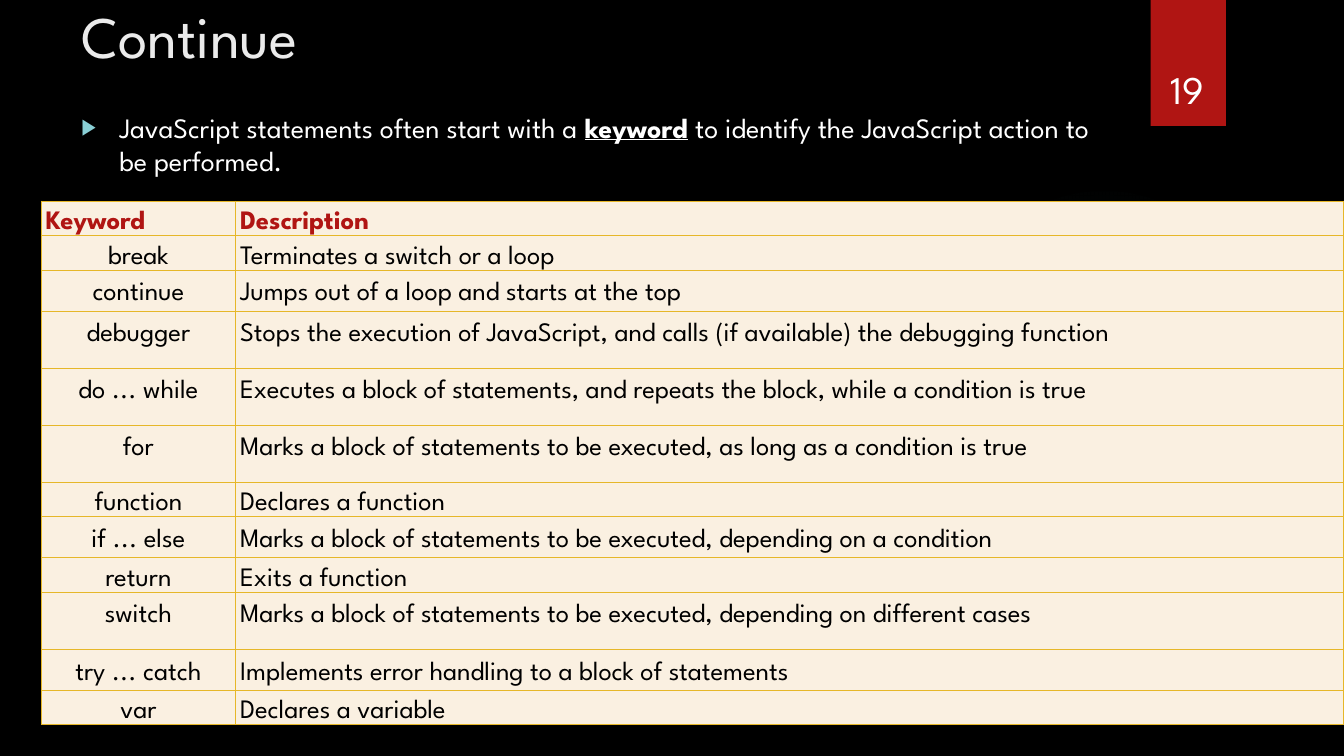
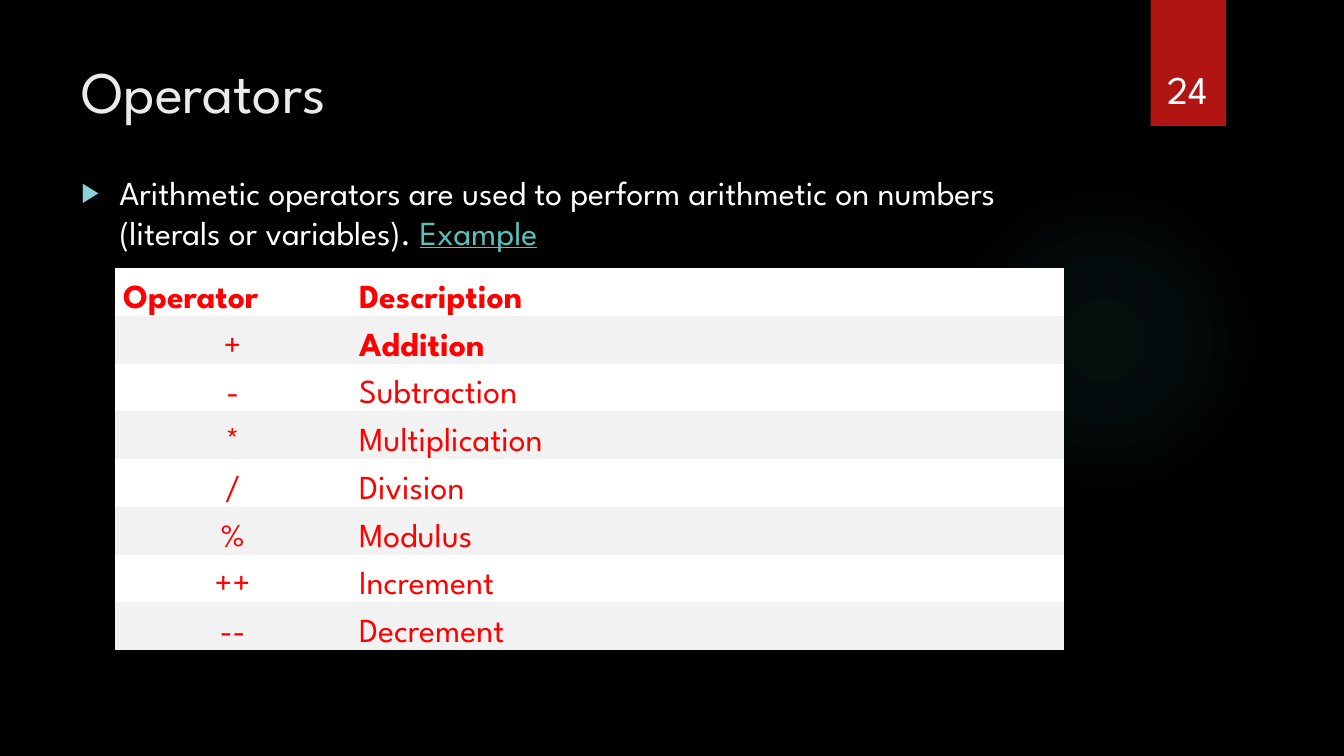
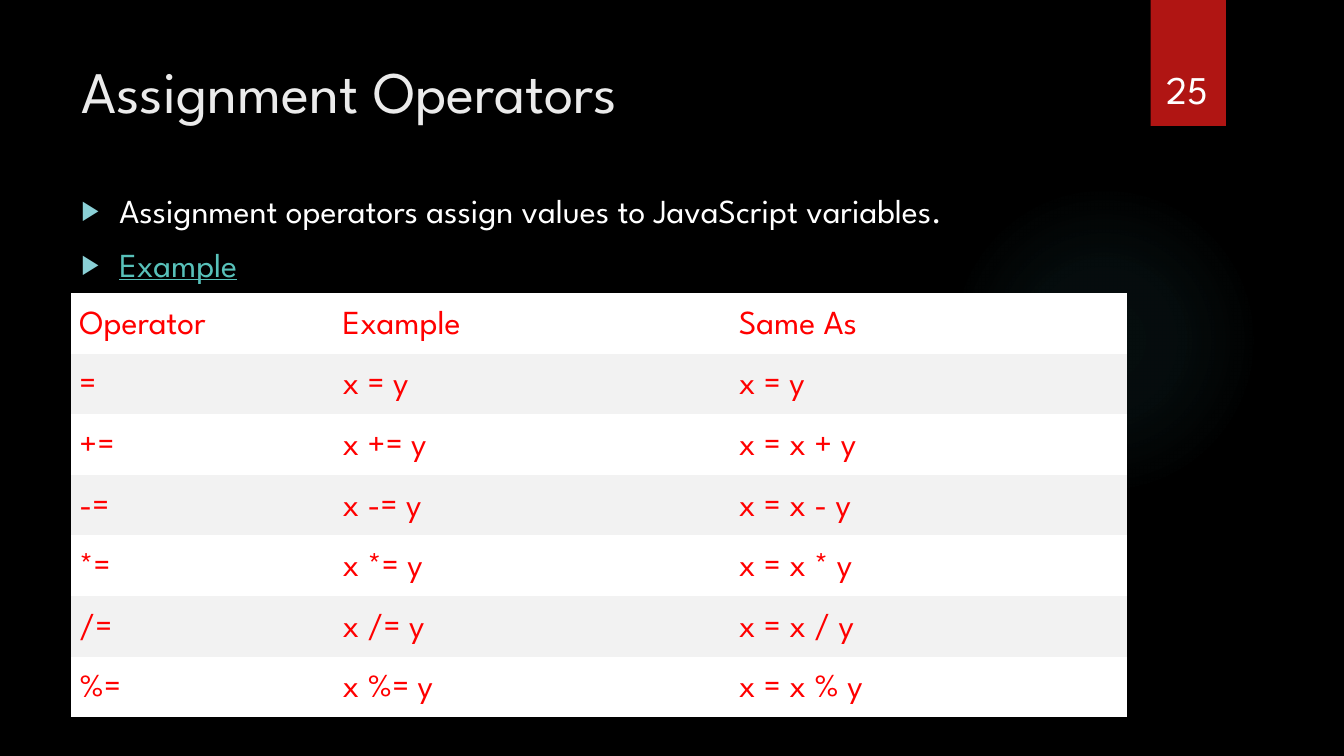
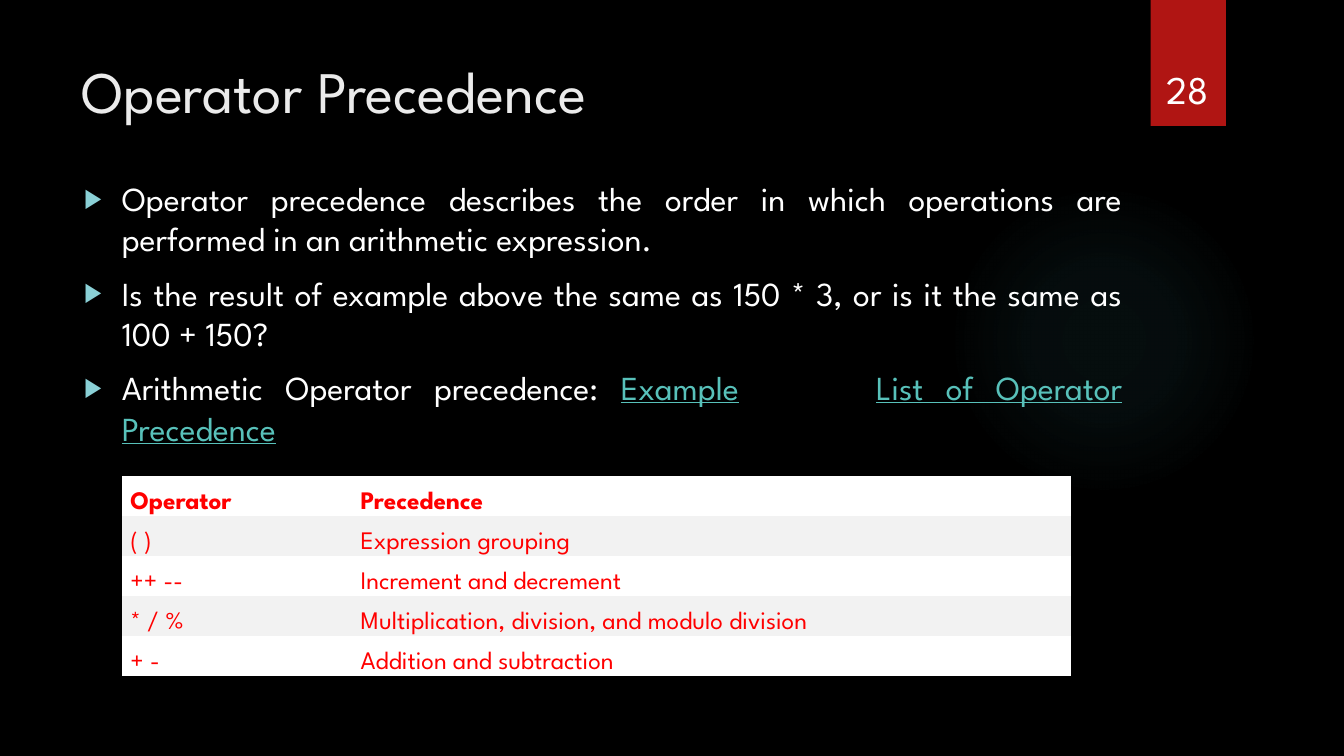
from pptx import Presentation
from pptx.dml.color import RGBColor
from pptx.enum import shapes, text
from pptx.oxml import parse_xml
from pptx.util import Pt

FONT = "League Spartan"
BLACK, WHITE, RED, BAND_RED = "000000", "FFFFFF", "FF0000", "B01513"
TITLE_GREY, LINK, BULLET, GLOW = "EBEBEB", "58C1BA", "8AD0D6", "50B9C1"
CREAM, GOLD, STRIPE = "FAF0E1", "E6B729", "F2F2F2"
NO_STYLE = "{2D5ABB26-0587-4C30-8999-92F81FD0307C}"
LEFT, CENTER = text.PP_ALIGN.LEFT, text.PP_ALIGN.CENTER
JUSTIFY = text.PP_ALIGN.JUSTIFY
SHORT, MEDIUM, TALL = 24.6, 29.3, 40.8  # keyword table row heights
LINE = 1.2  # line height of the font, as a share of its size
TIGHT_LINE = 0.9  # line height inside table cells


def style_run(run, size, color, bold=False, underline=False):
    run.font.name = FONT
    run.font.size = Pt(size)
    run.font.bold = bold
    run.font.underline = underline
    run.font.color.rgb = RGBColor.from_string(color)


def drawing_xml(tag, attributes="", content=""):
    """Make one DrawingML element from its tag, attributes and inner markup."""
    namespace = "http://schemas.openxmlformats.org/drawingml/2006/main"
    return parse_xml(f'<a:{tag} xmlns:a="{namespace}" {attributes}>{content}</a:{tag}>')


# Body paragraphs are lists of (text, kind); kinds are plain, key, link and gap.
pages = [
    {
        "number": "19", "title": "Continue", "title_box": (51, -3.6, 828, 104),
        "body_box": (51, 75, 740, 329), "body_size": 20, "body_align": LEFT,
        "body": [
            [("JavaScript statements often start with a ", "plain"), ("keyword", "key"),
             (" to identify the JavaScript action to be performed.", "plain")],
        ],
        "table_at": (29.5, 143.7), "columns": (138.7, 791.5), "table_size": 19,
        "row_heights": (SHORT, SHORT, MEDIUM, TALL, TALL, TALL,
                        SHORT, MEDIUM, SHORT, TALL, MEDIUM, SHORT),
        "margin": 3.3, "fills": (CREAM, CREAM), "border": GOLD,
        "head_color": BAND_RED, "text_color": BLACK,
        "first_align": CENTER, "bold_cells": {(0, 0), (0, 1)},
        "rows": [
            ("Keyword", "Description"),
            ("break", "Terminates a switch or a loop"),
            ("continue", "Jumps out of a loop and starts at the top"),
            ("debugger", "Stops the execution of JavaScript, and calls (if available) the debugging function"),
            ("do ... while", "Executes a block of statements, and repeats the block, while a condition is true"),
            ("for", "Marks a block of statements to be executed, as long as a condition is true"),
            ("function", "Declares a function"),
            ("if ... else", "Marks a block of statements to be executed, depending on a condition"),
            ("return", "Exits a function"),
            ("switch", "Marks a block of statements to be executed, depending on different cases"),
            ("try ... catch", "Implements error handling to a block of statements"),
            ("var", "Declares a variable"),
        ],
    },
    {
        "number": "24", "title": "Operators", "body_box": (51, 119, 740, 330),
        "body": [
            [("Arithmetic operators are used to perform arithmetic on numbers "
              "(literals or variables). ", "plain"), ("Example", "link")],
        ],
        "table_at": (82, 191.5), "columns": (168.5, 509.2), "row_heights": (34.1,) * 8,
        "first_align": CENTER, "bold_cells": {(0, 0), (0, 1), (1, 1)},
        "rows": [
            ("Operator", "Description"),
            ("+", "Addition"),
            ("-", "Subtraction"),
            ("*", "Multiplication"),
            ("/", "Division"),
            ("%", "Modulus"),
            ("++", "Increment"),
            ("--", "Decrement"),
        ],
    },
    {
        "number": "25", "title": "Assignment Operators", "body_box": (51, 131.8, 740, 330),
        "body": [
            [("Assignment operators assign values to JavaScript variables.", "plain")],
            [("Example", "link")],
        ],
        "table_at": (50.8, 209.3), "columns": (188, 283, 283), "row_heights": (43.3,) * 7,
        "rows": [
            ("Operator", "Example", "Same As"),
            ("=", "x = y", "x = y"),
            ("+=", "x += y", "x = x + y"),
            ("-=", "x -= y", "x = x - y"),
            ("*=", "x *= y", "x = x * y"),
            ("/=", "x /= y", "x = x / y"),
            ("%=", "x %= y", "x = x % y"),
        ],
    },
    {
        "number": "28", "title": "Operator Precedence", "body_box": (52.8, 123.4, 756, 360),
        "body_align": JUSTIFY,
        "body": [
            [("Operator precedence describes the order in which operations are "
              "performed in an arithmetic expression.", "plain")],
            [("Is the result of example above the same as 150 * 3, "
              "or is it the same as 100 + 150?", "plain")],
            [("Arithmetic Operator precedence: ", "plain"), ("Example", "link"),
             (" ", "gap"), ("List of Operator Precedence", "link")],
        ],
        "table_at": (87.1, 340), "columns": (164.6, 513.5), "row_heights": (28.6,) * 5,
        "table_size": 18, "bold_cells": {(0, 0), (0, 1)},
        "rows": [
            ("Operator", "Precedence"),
            ("( )", "Expression grouping"),
            ("++ --", "Increment and decrement"),
            ("* / %", "Multiplication, division, and modulo division"),
            ("+ -", "Addition and subtraction"),
        ],
    },
]
defaults = {
    "title_box": (51, 36, 741, 110), "body_size": 24, "body_align": LEFT,
    "table_size": 24, "margin": 6, "fills": (WHITE, STRIPE), "border": None,
    "head_color": RED, "text_color": RED, "first_align": LEFT, "bold_cells": set(),
}

deck = Presentation()
deck.slide_width, deck.slide_height = Pt(960), Pt(540)
background = deck.slide_master.background.fill
background.solid()
background.fore_color.rgb = RGBColor.from_string(BLACK)
layout = deck.slide_layouts[1]

for index, page in enumerate(pages):
    page = {**defaults, **page}
    slide = deck.slides.add_slide(layout)

    # The glow and the red band are made once and moved to the shared layout.
    if index == 0:
        glow = slide.shapes.add_shape(shapes.MSO_SHAPE.OVAL, Pt(677.5), Pt(131.8), Pt(221.8), Pt(221.8))
        glow.fill.background()
        stops = "".join(
            f'<a:gs pos="{position}000"><a:srgbClr val="{GLOW}"><a:alpha val="{alpha}000"/></a:srgbClr></a:gs>'
            for position, alpha in ((0, 7), (36, 6), (69, 0)))
        gradient = drawing_xml("gradFill", "", f'<a:gsLst>{stops}</a:gsLst><a:path path="circle">'
                               '<a:fillToRect l="50000" t="50000" r="50000" b="50000"/></a:path>')
        properties = glow.element.spPr
        properties.replace(properties.find("{*}noFill"), gradient)
        band = slide.shapes.add_shape(shapes.MSO_SHAPE.RECTANGLE, Pt(822), Pt(0), Pt(53.7), Pt(90))
        band.fill.solid()
        band.fill.fore_color.rgb = RGBColor.from_string(BAND_RED)
        for shape in (glow, band):
            shape.line.fill.background()
            shape.shadow.inherit = False
            layout.shapes.element.append(shape.element)

    title, body = slide.shapes.title, slide.placeholders[1]
    for holder, box in ((title, page["title_box"]), (body, page["body_box"])):
        holder.left, holder.top, holder.width, holder.height = map(Pt, box)
        holder.text_frame.auto_size = text.MSO_AUTO_SIZE.NONE
        holder.text_frame.vertical_anchor = text.MSO_ANCHOR.TOP
    title.text_frame.text = page["title"]
    para = title.text_frame.paragraphs[0]
    para.alignment = LEFT
    para.line_spacing = Pt(50)
    style_run(para.runs[0], 42, TITLE_GREY)

    for position, pieces in enumerate(page["body"]):
        para = body.text_frame.add_paragraph() if position else body.text_frame.paragraphs[0]
        para.alignment = page["body_align"]
        para.line_spacing = Pt(page["body_size"] * LINE)
        para.space_before = Pt(10 if position else 0)
        bullet = para._p.get_or_add_pPr()
        bullet.set("marL", str(Pt(27)))
        bullet.set("indent", str(Pt(-27)))
        bullet.append(drawing_xml("buClr", "", f'<a:srgbClr val="{BULLET}"/>'))
        bullet.append(drawing_xml("buSzPct", 'val="80000"'))
        bullet.append(drawing_xml("buChar", 'char="▶"'))
        for words, kind in pieces:
            run = para.add_run()
            run.text = words
            style_run(run, page["body_size"], LINK if kind == "link" else WHITE,
                      bold=kind == "key", underline=kind in ("key", "link"))
            if kind == "gap":
                run.font._element.set("spc", "8200")

    number = slide.shapes.add_textbox(Pt(815), Pt(23), Pt(66.2), Pt(60.5))
    number.text_frame.word_wrap = True
    number.text_frame.vertical_anchor = text.MSO_ANCHOR.BOTTOM
    number.text_frame.text = page["number"]
    para = number.text_frame.paragraphs[0]
    para.alignment = CENTER
    style_run(para.runs[0], 28, WHITE)

    left, top = page["table_at"]
    heights, widths = page["row_heights"], page["columns"]
    size, margin = page["table_size"], page["margin"]
    frame = slide.shapes.add_table(len(heights), len(widths), Pt(left), Pt(top),
                                   Pt(sum(widths)), Pt(sum(heights)))
    table = frame.table
    table.first_row = table.horz_banding = False
    table._tbl.tblPr.find("{*}tableStyleId").text = NO_STYLE
    for column, width in zip(table.columns, widths):
        column.width = Pt(width)
    for r, (values, height) in enumerate(zip(page["rows"], heights)):
        table.rows[r].height = Pt(height)
        text_bottom = min(margin + size * LINE, height)
        for c, value in enumerate(values):
            cell = table.cell(r, c)
            cell.margin_left = cell.margin_right = Pt(margin)
            cell.margin_top = Pt(text_bottom - size * TIGHT_LINE)
            cell.margin_bottom = Pt(0)
            if page["border"]:
                for side in ("lnL", "lnR", "lnT", "lnB"):
                    cell._tc.get_or_add_tcPr().append(drawing_xml(
                        side, f'w="{Pt(0.75)}"',
                        f'<a:solidFill><a:srgbClr val="{page["border"]}"/></a:solidFill>'))
            cell.fill.solid()
            cell.fill.fore_color.rgb = RGBColor.from_string(page["fills"][r % 2])
            cell.text_frame.text = value
            para = cell.text_frame.paragraphs[0]
            para.alignment = page["first_align"] if r and c == 0 else LEFT
            para.line_spacing = Pt(size * TIGHT_LINE)
            style_run(para.runs[0], size, page["text_color"] if r else page["head_color"],
                      bold=(r, c) in page["bold_cells"])

deck.save("out.pptx")
